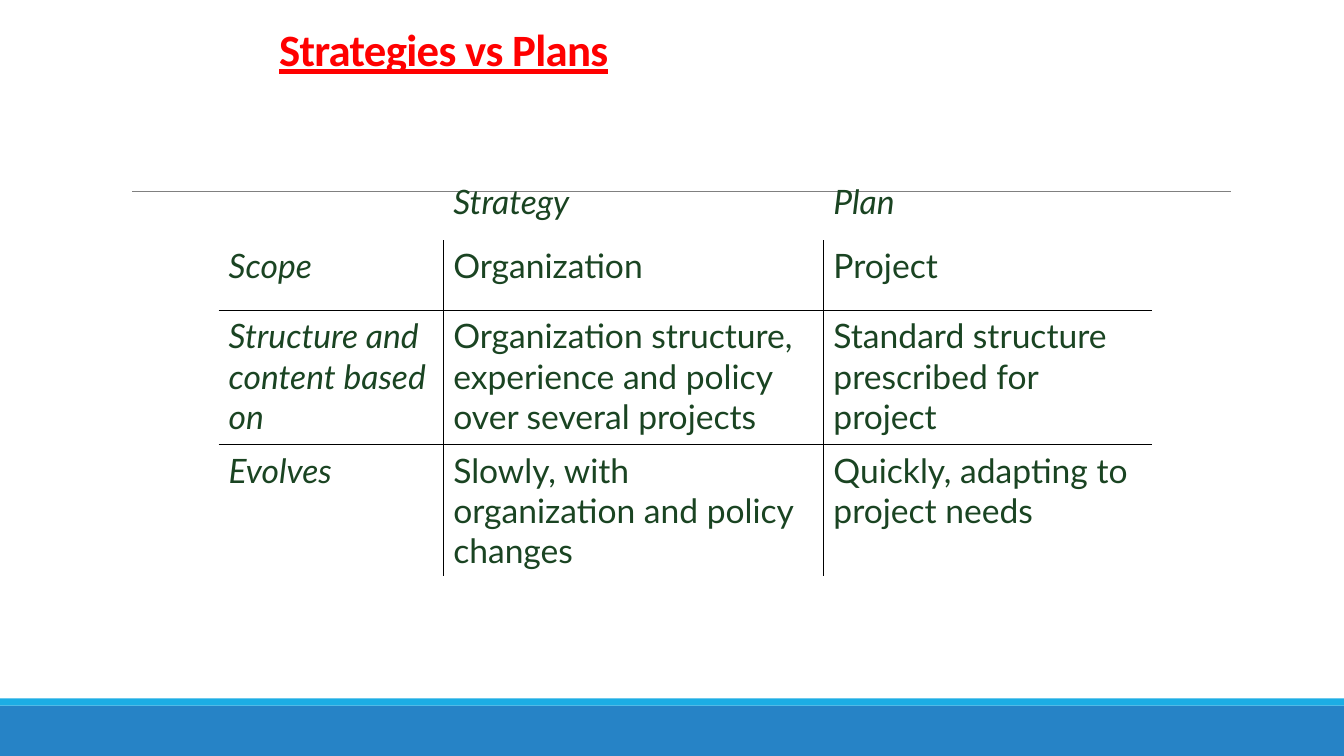
from lxml.etree import SubElement
from pptx import Presentation
from pptx.dml.color import RGBColor
from pptx.enum.shapes import MSO_CONNECTOR, MSO_SHAPE
from pptx.enum.text import MSO_ANCHOR, PP_ALIGN
from pptx.oxml.ns import qn
from pptx.util import Cm, Pt

COLORS = {
    "title": "FF0000",
    "text": "1A4422",
    "border": "000000",
    "rule": "808080",
    "band": "2683C6",
    "stripe": "1CADE4",
}
PLAIN_TABLE = "{2D5ABB26-0587-4C30-8999-92F81FD0307C}"
COLUMN_WIDTHS = [5.66, 9.58, 8.28]
ROW_HEIGHTS = [1.6, 1.78, 3.38, 3.28]
COMPARISON = [
    ["", "Strategy", "Plan"],
    ["Scope", "Organization", "Project"],
    [
        "Structure and content based on",
        "Organization structure, experience and policy over several projects",
        "Standard structure prescribed for project",
    ],
    [
        "Evolves",
        "Slowly, with organization and policy changes",
        "Quickly, adapting to project needs",
    ],
]


class SlideBuilder:
    def __init__(self, presentation):
        self.slide = presentation.slides.add_slide(presentation.slide_layouts[5])

    def color(self, name):
        return RGBColor.from_string(COLORS[name])

    def add_run(self, paragraph, text, font_name, size, color):
        run = paragraph.add_run()
        run.text = text
        run.font.name = font_name
        run.font.size = Pt(size)
        run.font.color.rgb = self.color(color)
        return run

    def add_band(self, top, height, color):
        band = self.slide.shapes.add_shape(
            MSO_SHAPE.RECTANGLE, 0, Cm(top), Cm(33.87), Cm(height)
        )
        band.shadow.inherit = False
        band.fill.solid()
        band.fill.fore_color.rgb = self.color(color)
        band.line.fill.background()

    def add_rule(self, left, right, top):
        rule = self.slide.shapes.add_connector(
            MSO_CONNECTOR.STRAIGHT, Cm(left), Cm(top), Cm(right), Cm(top)
        )
        rule.line.color.rgb = self.color("rule")
        rule.line.width = Pt(0.5)
        SubElement(rule._element.spPr, qn("a:effectLst"))

    def add_title(self, text, left, top, width, height):
        title = self.slide.shapes.title
        title.left, title.top = Cm(left), Cm(top)
        title.width, title.height = Cm(width), Cm(height)
        title.text_frame.word_wrap = True
        title.text_frame.vertical_anchor = MSO_ANCHOR.TOP
        paragraph = title.text_frame.paragraphs[0]
        paragraph.alignment = PP_ALIGN.LEFT
        paragraph.line_spacing = 0.85
        run = self.add_run(paragraph, text, "Calibri", 32, "title")
        run.font.bold = True
        run.font.underline = True
        run.font._element.set("spc", "-50")

    def add_border(self, cell, side):
        properties = cell._tc.get_or_add_tcPr()
        border = SubElement(properties, qn(f"a:ln{side}"), w=str(Pt(1)))
        fill = SubElement(border, qn("a:solidFill"))
        SubElement(fill, qn("a:srgbClr"), val=COLORS["border"])

    def add_table(self, rows, left, top):
        table = self.slide.shapes.add_table(
            len(rows), len(rows[0]), Cm(left), Cm(top),
            Cm(sum(COLUMN_WIDTHS)), Cm(sum(ROW_HEIGHTS)),
        ).table
        table.first_row = False
        table.horz_banding = False
        table._tbl.tblPr.find(qn("a:tableStyleId")).text = PLAIN_TABLE
        for column, width in zip(table.columns, COLUMN_WIDTHS):
            column.width = Cm(width)
        for row, height in zip(table.rows, ROW_HEIGHTS):
            row.height = Cm(height)
        last_row, last_column = len(rows) - 1, len(rows[0]) - 1
        for row_index, row in enumerate(rows):
            for column_index, text in enumerate(row):
                cell = table.cell(row_index, column_index)
                sides = {
                    "L": row_index > 0 and column_index > 0,
                    "R": row_index > 0 and column_index < last_column,
                    "T": row_index > 1,
                    "B": 0 < row_index < last_row,
                }
                for side, visible in sides.items():
                    if visible:
                        self.add_border(cell, side)
                cell.fill.background()
                if text:
                    paragraph = cell.text_frame.paragraphs[0]
                    run = self.add_run(paragraph, text, "Lato", 24, "text")
                    run.font.italic = row_index == 0 or column_index == 0


def main():
    presentation = Presentation()
    presentation.slide_width = Cm(33.87)
    presentation.slide_height = Cm(19.05)
    builder = SlideBuilder(presentation)
    builder.add_band(17.78, 1.27, "band")
    builder.add_band(17.6, 0.18, "stripe")
    builder.add_rule(3.33, 31.01, 4.83)
    builder.add_title("Strategies vs Plans", 6.78, 0.64, 19.89, 3.05)
    builder.add_table(COMPARISON, 5.51, 4.45)
    presentation.save("out.pptx")


if __name__ == "__main__":
    main()
